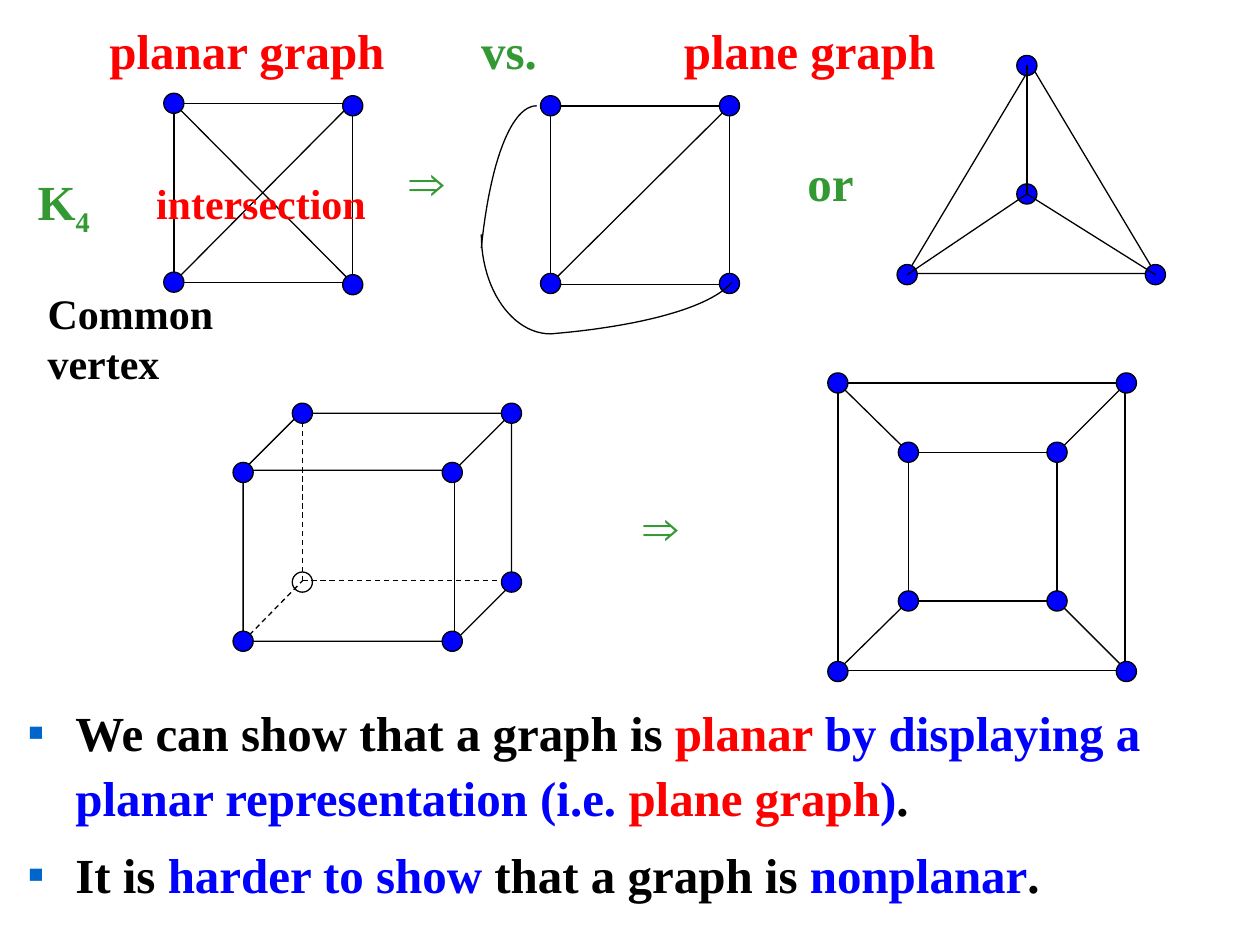
from dataclasses import dataclass

from lxml import etree
from pptx import Presentation
from pptx import util as u
from pptx.dml.color import RGBColor
from pptx.enum import dml, shapes
from pptx.oxml.ns import qn


@dataclass(frozen=True)
class Theme:
    black: str = "000000"
    red: str = "FF0000"
    green: str = "339933"
    blue: str = "0000FF"
    bullet: str = "0066CC"
    serif: str = "Times New Roman"
    sans: str = "Arial"
    large: int = 28
    medium: int = 24
    line: float = 0.75


theme = Theme()
presentation = Presentation()
presentation.slide_width, presentation.slide_height = u.Inches(10), u.Inches(7.5)
slide = presentation.slides.add_slide(presentation.slide_layouts[6])
cell = presentation.slide_width // 100  # square grid: 100 columns by 75 rows
DOT = 1.6  # vertex diameter in cells


def draw_outline(shape, fill=None):
    """Give a shape or connector a thin black line, no shadow and an optional fill."""
    if fill:
        shape.fill.solid()
        shape.fill.fore_color.rgb = RGBColor.from_string(fill)
    elif hasattr(shape, "fill"):
        shape.fill.background()
    shape.line.width = u.Pt(theme.line)
    shape.line.color.rgb = RGBColor.from_string(theme.black)
    etree.SubElement(shape._element.spPr, qn("a:effectLst"))


def add_text(box, paragraphs, size=theme.large, font=theme.serif):
    """Add a text box at a grid box; each paragraph is a list of (words, colour)."""
    frame = slide.shapes.add_textbox(*(round(v * cell) for v in box)).text_frame
    frame.word_wrap = True
    for index, runs in enumerate(paragraphs):
        paragraph = frame.add_paragraph() if index else frame.paragraphs[0]
        for words, color in runs:
            run = paragraph.add_run()
            run.text = words
            run.font.name, run.font.size, run.font.bold = font, u.Pt(size), True
            run.font.color.rgb = RGBColor.from_string(color)
    return frame


# Each graph: frames (preset, box), edges, hidden edges, vertices,
# hollow vertices, edges on top of the vertices, Bezier curves.
preset = shapes.MSO_SHAPE
hub = (81.5, 15.4)
graphs = [
    dict(  # K4 with crossing diagonals
        frames=[(preset.RECTANGLE, (13.8, 8.2, 14.2, 14.2))],
        edges=[(13.8, 8.2, 27.9, 22.4), (27.9, 8.2, 13.8, 22.4)],
        vertices=[(13.8, 8.2), (28, 8.4), (13.8, 22.4), (28, 22.6)],
    ),
    dict(  # cube in perspective
        frames=[(preset.CUBE, (19.3, 32.8, 21.3, 18.1))],
        hidden=[(19.3, 50.9, 24, 46.1), (24, 46.1, 24, 32.8), (24, 46.1, 40.6, 46.1)],
        vertices=[(x, y) for x in (19.3, 35.9) for y in (37.5, 50.9)]
        + [(24, 32.8), (40.6, 32.8), (40.6, 46.2)],
        hollow=[(24, 46.2)],
    ),
    dict(  # K4 with one diagonal led around the outside
        frames=[(preset.RECTANGLE, (43.7, 8.4, 14.2, 14.2))],
        edges=[(57.9, 8.4, 43.7, 22.5)],
        vertices=[(x, y) for x in (43.7, 57.9) for y in (8.4, 22.5)],
        curves=[
            [(43.7, 26.5), (50.9, 25.9), (56.4, 24.4), (58.1, 22.4)],
            [(42.6, 8.4), (40.6, 8.4), (38.9, 12.8), (38.2, 19.7)],
            [(43.7, 26.5), (40.7, 26.5), (38.2, 23), (38.2, 18.6)],
        ],
    ),
    dict(  # K4 as a triangle with a hub
        frames=[(preset.ISOSCELES_TRIANGLE, (72, 5.2, 19.7, 16.5))],
        vertices=[(72, 21.8), (91.7, 21.8), hub, (81.5, 5.2)],
        spokes=[(*hub, 81.5, 5.2), (*hub, 72, 21.8), (*hub, 91.7, 21.8)],
    ),
    dict(  # cube flattened into nested squares
        frames=[(preset.RECTANGLE, (66.5, 30.4, 22.8, 22.8)),
                (preset.RECTANGLE, (72.1, 35.9, 11.8, 11.8))],
        edges=[(inner_x, inner_y, outer_x, outer_y)
               for inner_x, outer_x in ((72.1, 66.5), (83.9, 89.4))
               for inner_y, outer_y in ((35.9, 30.4), (47.7, 53.2))],
        vertices=[(x, y) for xs, ys in (((66.5, 89.4), (30.4, 53.3)), ((72.1, 83.9), (35.9, 47.7)))
                  for x in xs for y in ys],
    ),
]

for graph in graphs:
    group = slide.shapes.add_group_shape()
    for kind, box in graph["frames"]:
        draw_outline(group.shapes.add_shape(kind, *(round(v * cell) for v in box)))
    for layer in ("edges", "hidden", "vertices", "hollow", "spokes"):
        for ends in graph.get(layer, []):
            if layer in ("vertices", "hollow"):
                box = (ends[0] - DOT / 2, ends[1] - DOT / 2, DOT, DOT)
                vertex = group.shapes.add_shape(preset.OVAL, *(round(v * cell) for v in box))
                draw_outline(vertex, theme.blue if layer == "vertices" else None)
                continue
            edge = group.shapes.add_connector(
                shapes.MSO_CONNECTOR.STRAIGHT, *(round(v * cell) for v in ends))
            draw_outline(edge)
            if layer == "hidden":
                edge.line.dash_style = dml.MSO_LINE.DASH
    for controls in graph.get("curves", []):
        points = []
        for step in range(25):
            t = step / 24
            weights = ((1 - t) ** 3, 3 * t * (1 - t) ** 2, 3 * t * t * (1 - t), t ** 3)
            points.append(tuple(
                round(cell * sum(w * point[axis] for w, point in zip(weights, controls)))
                for axis in (0, 1)))
        builder = group.shapes.build_freeform(*points[0])
        builder.add_line_segments(points[1:], close=False)
        draw_outline(builder.convert_to_shape())

label = add_text((2, 13.1, 8, 6.3), [[("K", theme.green), ("4", theme.green)]])
label.paragraphs[0].runs[1]._r.get_or_add_rPr().set("baseline", "-25000")
add_text((11.4, 13.6, 21, 5), [[("intersection", theme.red)]], theme.medium)
add_text((2.8, 22.3, 18, 9), [[("Common", theme.black)], [("vertex", theme.black)]], theme.medium)

title = add_text((7.7, 1.1, 71.4, 5.7), [[
    ("planar graph", theme.red), ("\tvs.\t", theme.green), ("plane graph", theme.red)]])
tabs = etree.SubElement(title.paragraphs[0]._p.get_or_add_pPr(), qn("a:tabLst"))
for column in (29.5, 45.6):
    etree.SubElement(tabs, qn("a:tab"), pos=str(round(column * cell)), algn="l")

for left, top in ((50.1, 38.9), (31.5, 11.5)):
    add_text((left, top, 6, 5.7), [[("⇒", theme.green)]], font=theme.sans)
add_text((63.1, 11.6, 8, 5.7), [[("or", theme.green)]])

summary = add_text((1.2, 54.8, 98.4, 18.9), [
    [("We can show that a graph is ", theme.black), ("planar ", theme.red),
     ("by displaying a planar representation (i.e. ", theme.blue),
     ("plane graph", theme.red), (")", theme.blue), (".", theme.black)],
    [("It is ", theme.black), ("harder to show", theme.blue),
     (" that a graph is ", theme.black), ("nonplanar", theme.blue), (".", theme.black)],
])
indent = round(3.8 * cell)
for index, paragraph in enumerate(summary.paragraphs):
    properties = paragraph._p.get_or_add_pPr()
    properties.set("marL", str(indent))
    properties.set("indent", str(-indent))
    bullet_color = etree.SubElement(properties, qn("a:buClr"))
    etree.SubElement(bullet_color, qn("a:srgbClr"), val=theme.bullet)
    etree.SubElement(properties, qn("a:buFont"), typeface=theme.sans)
    etree.SubElement(properties, qn("a:buChar"), char="▪")
    paragraph.line_spacing = 1.1
    if index:
        paragraph.space_before = u.Pt(7)

presentation.save("out.pptx")
